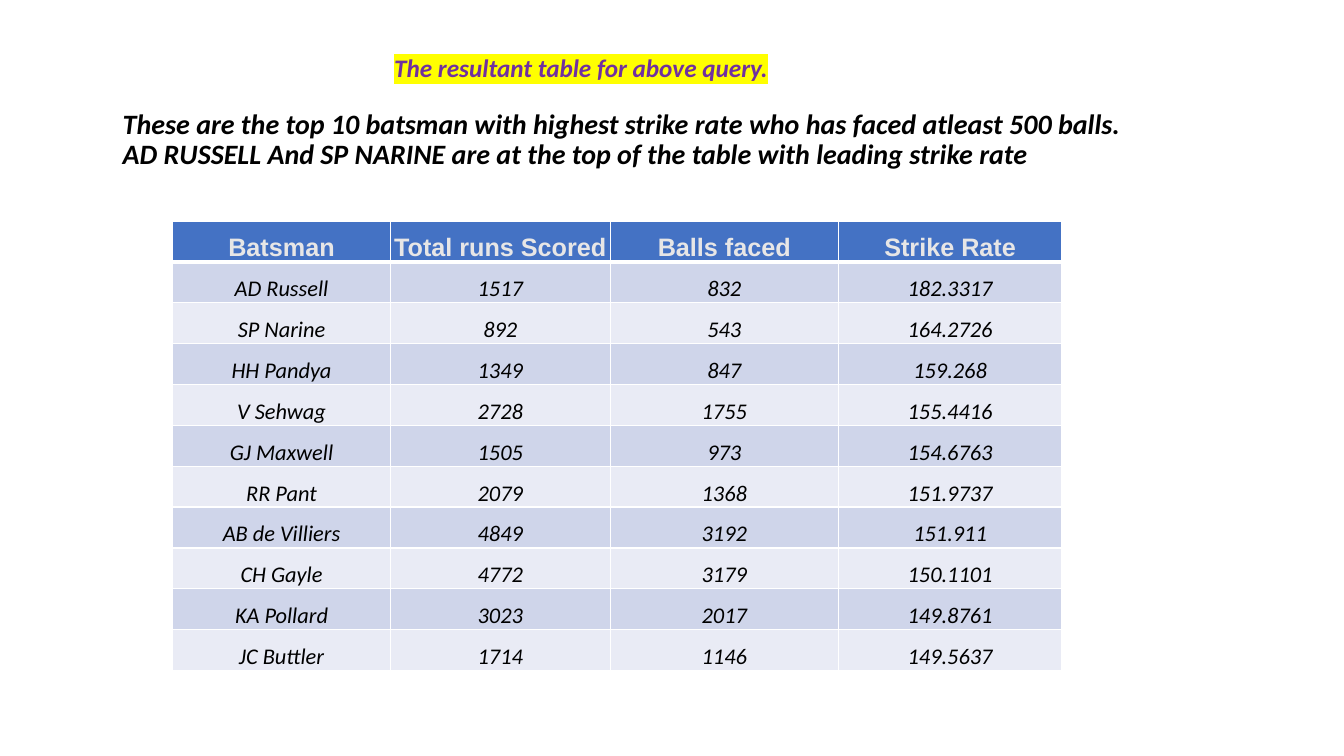
from lxml import etree
from pptx import Presentation
from pptx.dml.color import RGBColor
from pptx.enum.text import MSO_ANCHOR, MSO_AUTO_SIZE, PP_ALIGN
from pptx.oxml.ns import qn
from pptx.util import Pt

LEFT, CENTER = PP_ALIGN.LEFT, PP_ALIGN.CENTER
TOP, MIDDLE, BOTTOM = MSO_ANCHOR.TOP, MSO_ANCHOR.MIDDLE, MSO_ANCHOR.BOTTOM
FIT_SHAPE = MSO_AUTO_SIZE.SHAPE_TO_FIT_TEXT
NO_FIT = MSO_AUTO_SIZE.NONE

BLACK = RGBColor(0x00, 0x00, 0x00)
WHITE = RGBColor(0xFF, 0xFF, 0xFF)
PURPLE = RGBColor(0x70, 0x30, 0xA0)
YELLOW = RGBColor(0xFF, 0xFF, 0x00)
LIGHT_GRAY = RGBColor(0xE7, 0xE6, 0xE6)
HEADER_BLUE = RGBColor(0x44, 0x72, 0xC4)
BAND_DARK = RGBColor(0xCF, 0xD5, 0xEA)
BAND_LIGHT = RGBColor(0xE9, 0xEB, 0xF5)

HEADLINE = {"name": "Calibri", "size": Pt(20), "bold": True, "italic": True, "color": BLACK}
CAPTION = {"name": "Calibri", "size": Pt(18), "bold": True, "italic": True, "color": PURPLE}
HEADER = {"name": "Arial", "size": Pt(18), "bold": True, "italic": False, "color": LIGHT_GRAY}
BODY = {"name": "Calibri", "size": Pt(16), "bold": False, "italic": True, "color": BLACK}

COLUMN_WIDTHS = [155.4, 157.2, 162.8, 159.8]
ROW_HEIGHT = 29.2
BATSMEN = [
    ("Batsman", "Total runs Scored", "Balls faced", "Strike Rate"),
    ("AD Russell", "1517", "832", "182.3317"),
    ("SP Narine", "892", "543", "164.2726"),
    ("HH Pandya", "1349", "847", "159.268"),
    ("V Sehwag", "2728", "1755", "155.4416"),
    ("GJ Maxwell", "1505", "973", "154.6763"),
    ("RR Pant", "2079", "1368", "151.9737"),
    ("AB de Villiers", "4849", "3192", "151.911"),
    ("CH Gayle", "4772", "3179", "150.1101"),
    ("KA Pollard", "3023", "2017", "149.8761"),
    ("JC Buttler", "1714", "1146", "149.5637"),
]


class SlideBuilder:
    def __init__(self, slide):
        self.slide = slide

    def fill_paragraph(self, paragraph, text, style, align, highlight=None):
        paragraph.text = text
        paragraph.alignment = align
        for run in paragraph.runs:
            for name, value in style.items():
                if name == "color":
                    run.font.color.rgb = value
                else:
                    setattr(run.font, name, value)
            if highlight is not None:
                mark = etree.Element(qn("a:highlight"))
                etree.SubElement(mark, qn("a:srgbClr"), val=str(highlight))
                properties = run._r.get_or_add_rPr()
                properties.find(qn("a:latin")).addprevious(mark)

    def text(self, box, text, style, align=LEFT, anchor=TOP, fit=NO_FIT,
             line_spacing=None, highlight=None):
        shape = self.slide.shapes.add_textbox(*map(Pt, box))
        frame = shape.text_frame
        frame.word_wrap = True
        frame.auto_size = fit
        frame.vertical_anchor = anchor
        paragraph = frame.paragraphs[0]
        paragraph.line_spacing = line_spacing
        self.fill_paragraph(paragraph, text, style, align, highlight)

    def border(self, cell, side, width):
        line = etree.SubElement(cell._tc.get_or_add_tcPr(), qn(f"a:ln{side}"), w=str(Pt(width)))
        fill = etree.SubElement(line, qn("a:solidFill"))
        etree.SubElement(fill, qn("a:srgbClr"), val=str(WHITE))

    def cell(self, cell, text, style, fill, edges):
        for side, width in edges.items():
            self.border(cell, side, width)
        cell.fill.solid()
        cell.fill.fore_color.rgb = fill
        cell.vertical_anchor = BOTTOM
        cell.margin_left = cell.margin_right = cell.margin_top = Pt(0.75)
        cell.margin_bottom = 0
        self.fill_paragraph(cell.text_frame.paragraphs[0], text, style, CENTER)

    def table(self, left, top, rows, widths, row_height):
        size = (sum(widths), row_height * len(rows))
        frame = self.slide.shapes.add_table(
            len(rows), len(widths), Pt(left), Pt(top), *map(Pt, size))
        table = frame.table
        for column, width in zip(table.columns, widths):
            column.width = Pt(width)
        for index, values in enumerate(rows):
            table.rows[index].height = Pt(row_height)
            edges = {"L": 1, "R": 1, "T": 3 if index == 1 else 1, "B": 1}
            style, fill = BODY, BAND_DARK if index % 2 else BAND_LIGHT
            if index == 0:
                edges["B"] = 3
                style, fill = HEADER, HEADER_BLUE
            for position, value in enumerate(values):
                self.cell(table.cell(index, position), value, style, fill, edges)


def main():
    presentation = Presentation()
    presentation.slide_width, presentation.slide_height = Pt(960), Pt(540)
    slide = presentation.slides.add_slide(presentation.slide_layouts[6])
    builder = SlideBuilder(slide)
    builder.table(123.4, 157.8, BATSMEN, COLUMN_WIDTHS, ROW_HEIGHT)
    builder.text(
        (80.6, 48.2, 828, 104.4),
        "These are the top 10 batsman with highest strike rate who has faced atleast 500 balls.\v"
        "AD RUSSELL And SP NARINE are at the top of the table with leading strike rate",
        HEADLINE, anchor=MIDDLE, line_spacing=0.9)
    builder.text(
        (175, 33.8, 480.2, 29.1), "The resultant table for above query.",
        CAPTION, align=CENTER, fit=FIT_SHAPE, highlight=YELLOW)
    presentation.save("out.pptx")


if __name__ == "__main__":
    main()
